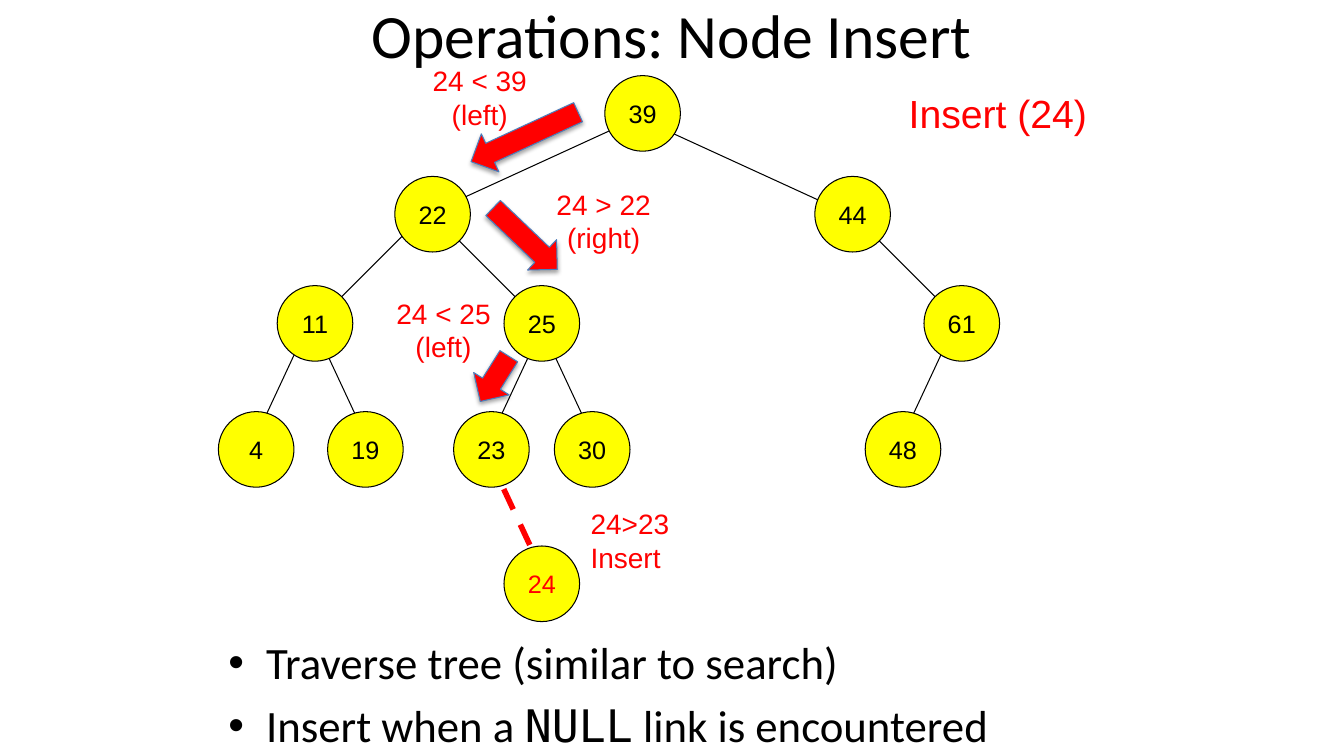
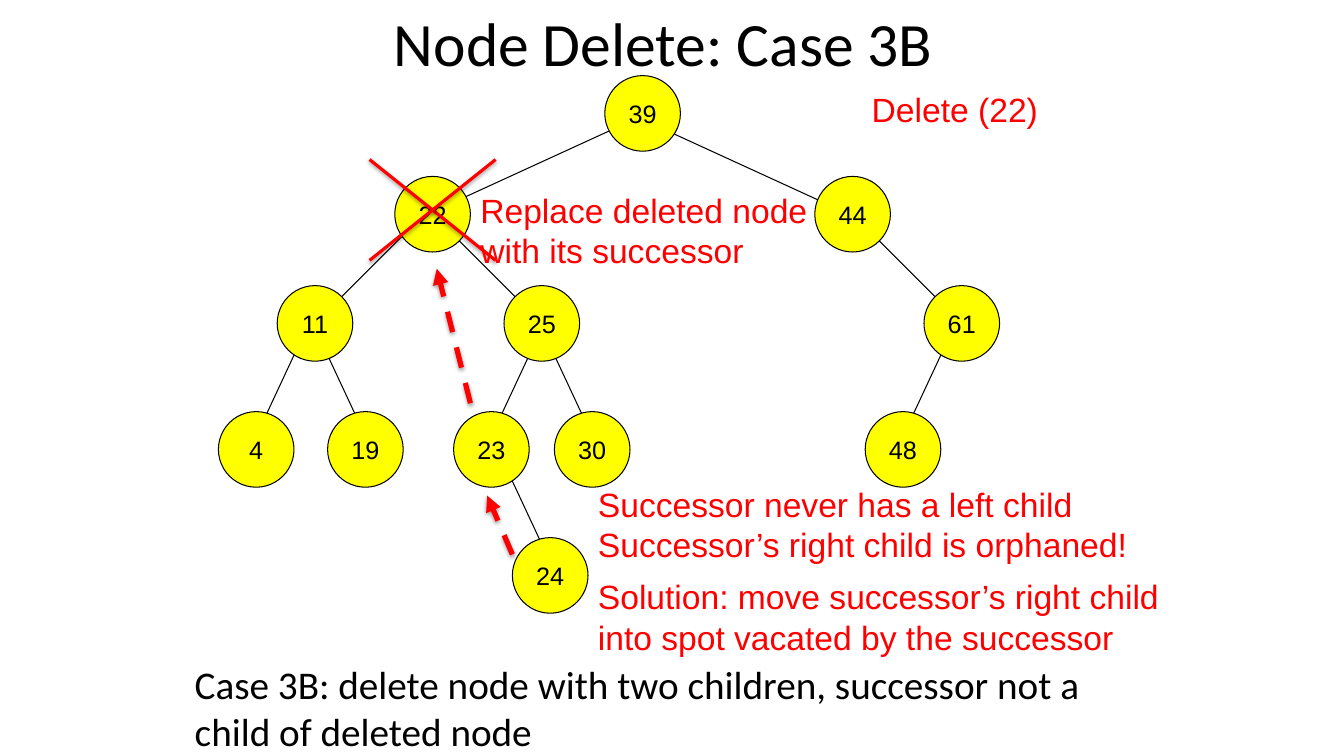
from dataclasses import dataclass
from typing import Optional, Sequence

from lxml import etree
from pptx import Presentation
from pptx import util as u
from pptx.dml.color import RGBColor
from pptx.enum import dml, shapes, text
from pptx.oxml import ns

COLORS = {"ink": "000000", "accent": "FF0000", "node": "FFFF00", "rim": "4B7EBC"}
TITLE_FONT = "Calibri"
LABEL_FONT = "Arial"
CODE_FONT = "DejaVu Sans Mono"
NODE_SIZE = 54
ARROW_THICKNESS = 30
NODE_TOPS = (54, 126, 204, 294)
EDGE_LEVELS = (84, 150, 228, 318, 408)


@dataclass(frozen=True)
class Shadow:
    distance: float
    opacity: int
    blur: float = 3.1


@dataclass(frozen=True)
class Node:
    label: str
    left: float
    top: float
    color: str = "ink"


@dataclass(frozen=True)
class Edge:
    level: int
    parent_x: float
    child_x: float


@dataclass(frozen=True)
class Stroke:
    start: tuple[float, float]
    end: tuple[float, float]
    color: str = "ink"
    width: float = 0.75
    dashed: bool = False
    pointed: bool = False
    shadow: Optional[Shadow] = None


@dataclass(frozen=True)
class Note:
    lines: tuple[str, ...]
    left: float
    top: float
    width: float
    height: float
    size: float
    align: str = "LEFT"
    wrap: bool = False


@dataclass(frozen=True)
class Step:
    note: Note
    left: float
    top: float
    length: float
    rotation: float


ARROW_SHADOW = Shadow(distance=1.8, opacity=35)
STROKE_SHADOW = Shadow(distance=1.6, opacity=38)

ROWS = (
    (("39", 432),),
    (("22", 282), ("44", 582)),
    (("11", 198), ("25", 360), ("61", 660)),
    (("4", 156), ("19", 234), ("23", 324), ("30", 396), ("48", 618)),
)
TREE_NODES = [
    Node(label, left, top) for top, row in zip(NODE_TOPS, ROWS) for label, left in row
]
TREE_EDGES = [
    Edge(0, 456, 312), Edge(0, 456, 600),
    Edge(1, 306, 228), Edge(1, 306, 384), Edge(1, 606, 684),
    Edge(2, 222, 180), Edge(2, 222, 264), Edge(2, 390, 348),
    Edge(2, 384, 426), Edge(2, 684, 642),
]


def step(comparison: str, side: str, note_at: tuple[float, float],
         arrow_at: tuple[float, float], length: float, rotation: float) -> Step:
    note = Note((comparison, f"({side})"), *note_at, 82, 55.4, 20, "CENTER")
    return Step(note, *arrow_at, length, rotation)


INSERT_STEPS = [
    step("24 < 39", "left", (301.7, 41.8), (332.6, 82.8), 84.2, 155.2),
    step("24 > 22", "right", (390.2, 130.3), (343.4, 155.5), 63.4, 43.7),
    step("24 < 25", "left", (275.8, 208), (334.1, 255.6), 38.2, 122.2),
]
DELETE_STROKES = [
    Stroke((264, 114), (354, 186), "accent", 2.25, shadow=STROKE_SHADOW),
    Stroke((354, 114), (264, 186), "accent", 2.25, shadow=STROKE_SHADOW),
    Stroke((336, 288), (312, 192), "accent", 3.75, True, True, STROKE_SHADOW),
    Stroke((366, 396), (348, 354), "accent", 3.75, True, True, STROKE_SHADOW),
]
DELETE_NOTES = [
    Note(("Delete (22)",), 615.6, 60, 134.6, 36, 24),
    Note(("Successor never has a left child",
          "Successor\u2019s right child is orphaned!"), 420, 342, 396.7, 65.5, 24),
    Note(("Solution: move successor\u2019s right child into spot vacated by the successor",),
         420, 408, 420, 65.5, 24, wrap=True),
    Note(("Replace deleted node with its successor",), 336, 132, 276, 65.5, 24, wrap=True),
]


def rgb(name: str) -> RGBColor:
    return RGBColor.from_string(COLORS[name])


def set_shadow(properties, shadow: Optional[Shadow]) -> None:
    effects = properties.find(ns.qn("a:effectLst"))
    if effects is None:
        effects = etree.SubElement(properties, ns.qn("a:effectLst"))
    if shadow is None:
        return
    outer = etree.SubElement(
        effects, ns.qn("a:outerShdw"), blurRad=str(int(u.Pt(shadow.blur))),
        dist=str(int(u.Pt(shadow.distance))), dir="5400000", rotWithShape="0")
    tint = etree.SubElement(outer, ns.qn("a:srgbClr"), val=COLORS["ink"])
    etree.SubElement(tint, ns.qn("a:alpha"), val=str(shadow.opacity * 1000))


def add_bullet(para, indent: float) -> None:
    properties = para._p.get_or_add_pPr()
    properties.set("marL", str(int(u.Pt(indent))))
    properties.set("indent", str(-int(u.Pt(indent))))
    etree.SubElement(properties, ns.qn("a:buFont"), typeface="Arial")
    etree.SubElement(properties, ns.qn("a:buChar"), char="\u2022")


def write_text(frame, lines: Sequence[str], *, size: float, font: str = LABEL_FONT,
               color: str = "ink", align: str = "LEFT", anchor: str = "TOP",
               wrap: bool = True, grow: bool = False, before: float = 0,
               bullet: bool = False) -> None:
    frame.word_wrap = wrap
    frame.auto_size = getattr(text.MSO_AUTO_SIZE, "SHAPE_TO_FIT_TEXT" if grow else "NONE")
    frame.vertical_anchor = getattr(text.MSO_ANCHOR, anchor)
    for index, line in enumerate(lines):
        para = frame.add_paragraph() if index else frame.paragraphs[0]
        para.alignment = getattr(text.PP_ALIGN, align)
        if before:
            para.space_before = u.Pt(before)
        if bullet:
            add_bullet(para, 27)
        for part, words in enumerate(line.split("`")):
            span = para.add_run()
            span.text = words
            span.font.name = CODE_FONT if part % 2 else font
            span.font.size = u.Pt(size)
            span.font.color.rgb = rgb(color)


def add_box(page, left: float, top: float, width: float, height: float):
    return page.shapes.add_textbox(
        u.Pt(left), u.Pt(top), u.Pt(width), u.Pt(height)).text_frame


def draw_title(page, words: str, left: float, top: float) -> None:
    write_text(add_box(page, left, top, 648, 60), [words], size=44,
               font=TITLE_FONT, align="CENTER", anchor="MIDDLE")


def draw_note(page, note: Note) -> None:
    write_text(add_box(page, note.left, note.top, note.width, note.height), note.lines,
               size=note.size, color="accent", align=note.align, wrap=note.wrap, grow=True)


def draw_shape(page, kind, left: float, top: float, width: float, height: float,
               fill: str, line: str, shadow: Optional[Shadow] = None):
    shape = page.shapes.add_shape(kind, u.Pt(left), u.Pt(top), u.Pt(width), u.Pt(height))
    shape.fill.solid()
    shape.fill.fore_color.rgb = rgb(fill)
    shape.line.color.rgb = rgb(line)
    shape.line.width = u.Pt(0.75)
    shape.shadow.inherit = False
    set_shadow(shape._element.spPr, shadow)
    return shape


def draw_node(page, node: Node) -> None:
    circle = draw_shape(page, shapes.MSO_SHAPE.OVAL, node.left, node.top,
                        NODE_SIZE, NODE_SIZE, "node", "ink")
    write_text(circle.text_frame, [node.label], size=18, color=node.color,
               align="CENTER", anchor="MIDDLE", wrap=False)


def draw_stroke(page, stroke: Stroke) -> None:
    ends = [u.Pt(value) for value in stroke.start + stroke.end]
    connector = page.shapes.add_connector(shapes.MSO_CONNECTOR.STRAIGHT, *ends)
    connector.line.color.rgb = rgb(stroke.color)
    connector.line.width = u.Pt(stroke.width)
    if stroke.dashed:
        connector.line.dash_style = dml.MSO_LINE.DASH
    properties = connector._element.spPr
    if stroke.pointed:
        etree.SubElement(properties.find(ns.qn("a:ln")), ns.qn("a:tailEnd"), type="triangle")
    set_shadow(properties, stroke.shadow)


def draw_tree(page, nodes: Sequence[Node], edges: Sequence[Edge]) -> None:
    for edge in edges:
        draw_stroke(page, Stroke((edge.parent_x, EDGE_LEVELS[edge.level]),
                                 (edge.child_x, EDGE_LEVELS[edge.level + 1])))
    for node in nodes:
        draw_node(page, node)


def draw_step(page, move: Step) -> None:
    arrow = draw_shape(page, shapes.MSO_SHAPE.RIGHT_ARROW, move.left, move.top,
                       move.length, ARROW_THICKNESS, "accent", "rim", ARROW_SHADOW)
    arrow.rotation = move.rotation
    draw_note(page, move.note)


def build_insert(page) -> None:
    draw_stroke(page, Stroke((348, 324), (390, 414), "accent", 4, dashed=True))
    draw_note(page, Note(("24>23", "Insert"), 414.7, 358.6, 71.3, 55.4, 20))
    draw_node(page, Node("24", 360, 390, "accent"))
    draw_tree(page, TREE_NODES, TREE_EDGES)
    draw_title(page, "Operations: Node Insert", 156, -6)
    write_text(add_box(page, 156, 450, 648, 90),
               ["Traverse tree (similar to search)",
                "Insert when a `NULL` link is encountered"],
               size=32, font=TITLE_FONT, before=6.4, bullet=True)
    draw_note(page, Note(("Insert (24)",), 642, 60, 144, 41, 28))
    for move in INSERT_STEPS:
        draw_step(page, move)


def build_delete(page) -> None:
    draw_title(page, "Node Delete: Case 3B", 150, 0)
    write_text(add_box(page, 132, 468, 702, 72),
               ["Case 3B: delete node with two children, successor not a child of deleted node"],
               size=28, font=TITLE_FONT, before=5.6)
    draw_tree(page, TREE_NODES + [Node("24", 366, 384)], TREE_EDGES + [Edge(3, 354, 396)])
    for stroke in DELETE_STROKES:
        draw_stroke(page, stroke)
    for note in DELETE_NOTES:
        draw_note(page, note)


deck = Presentation()
deck.slide_width, deck.slide_height = u.Pt(960), u.Pt(540)
for build in (build_insert, build_delete):
    build(deck.slides.add_slide(deck.slide_layouts[6]))
deck.save("out.pptx")
